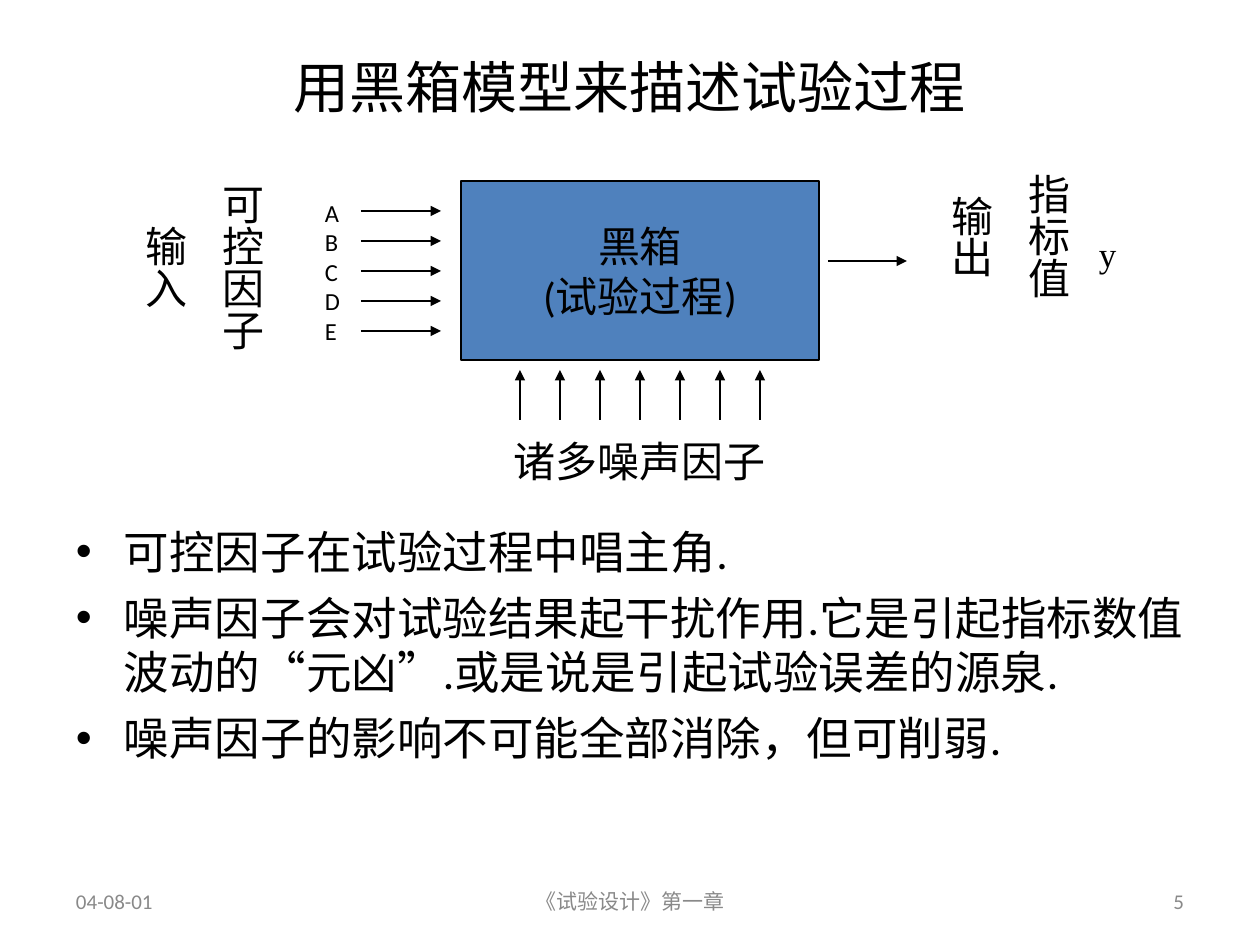
from lxml.etree import SubElement
from pptx import Presentation
from pptx.dml.color import RGBColor
from pptx.enum.shapes import MSO_CONNECTOR, MSO_SHAPE
from pptx.enum.text import MSO_ANCHOR, MSO_AUTO_SIZE, PP_ALIGN
from pptx.oxml.ns import qn
from pptx.util import Emu, Pt

BLACK = RGBColor(0x00, 0x00, 0x00)
GREY = RGBColor(0x89, 0x89, 0x89)
BLUE = RGBColor(0x4F, 0x81, 0xBD)
WIDTH, HEIGHT = 1260, 945


def px(length):
    return Emu(round(length * 914400 / 126))


class BlackBoxSlide:
    """Draws the elements of one slide in a shared style."""

    def __init__(self, presentation):
        self.slide = presentation.slides.add_slide(presentation.slide_layouts[5])
        self.line_width = Pt(0.75)
        self.insets = (13, 6, 13, 6)
        self.vertical_insets = (6, 13, 6, 13)

    def fill_text(self, shape, paragraphs, size, align=PP_ALIGN.LEFT, anchor=MSO_ANCHOR.TOP,
                  color=BLACK, font="Calibri", gap=0, bullet_indent=0, vertical=False):
        frame = shape.text_frame
        left, top, right, bottom = self.vertical_insets if vertical else self.insets
        frame_format = {
            "word_wrap": True, "auto_size": MSO_AUTO_SIZE.NONE, "vertical_anchor": anchor,
            "margin_left": px(left), "margin_top": px(top),
            "margin_right": px(right), "margin_bottom": px(bottom),
        }
        for name, value in frame_format.items():
            setattr(frame, name, value)
        if vertical:
            frame._txBody.bodyPr.set("vert", "eaVert")
        font_format = {"size": Pt(size), "name": font}
        for index, text in enumerate(paragraphs):
            paragraph = frame.add_paragraph() if index else frame.paragraphs[0]
            paragraph.text = text
            if bullet_indent:
                self.add_bullet(paragraph, bullet_indent)
            paragraph.alignment = align
            paragraph.space_before = Pt(gap if index else 0)
            for run in paragraph.runs:
                for name, value in font_format.items():
                    setattr(run.font, name, value)
                run.font.color.rgb = color

    def add_bullet(self, paragraph, indent):
        properties = paragraph._p.get_or_add_pPr()
        properties.set("marL", str(px(indent)))
        properties.set("indent", str(-px(indent)))
        SubElement(properties, qn("a:buFont"), typeface="Arial")
        SubElement(properties, qn("a:buChar"), char="•")

    def title(self, box, text, size):
        shape = self.slide.shapes.title
        for name, value in zip(("left", "top", "width", "height"), box):
            setattr(shape, name, px(value))
        self.fill_text(shape, [text], size, PP_ALIGN.CENTER, MSO_ANCHOR.MIDDLE)

    def text(self, box, paragraphs, size, **style):
        shape = self.slide.shapes.add_textbox(*map(px, box))
        self.fill_text(shape, paragraphs, size, **style)

    def rectangle(self, box, paragraphs, size):
        shape = self.slide.shapes.add_shape(MSO_SHAPE.RECTANGLE, *map(px, box))
        shape.shadow.inherit = False
        shape.fill.solid()
        shape.fill.fore_color.rgb = BLUE
        shape.line.color.rgb = BLACK
        shape.line.width = self.line_width
        self.fill_text(shape, paragraphs, size, PP_ALIGN.CENTER, MSO_ANCHOR.MIDDLE)

    def arrow(self, start, end):
        connector = self.slide.shapes.add_connector(
            MSO_CONNECTOR.STRAIGHT, *map(px, start + end))
        connector.line.color.rgb = BLACK
        connector.line.width = self.line_width
        SubElement(connector.line._get_or_add_ln(), qn("a:tailEnd"), type="triangle")
        SubElement(connector._element.spPr, qn("a:effectLst"))


def main():
    presentation = Presentation()
    presentation.slide_width = px(WIDTH)
    presentation.slide_height = px(HEIGHT)
    slide = BlackBoxSlide(presentation)

    slide.title((63, 38, 1134, 97), "用黑箱模型来描述试验过程", 32)

    slide.rectangle((461, 181, 358, 179), ["黑箱\n(试验过程)"], 24)
    for index in range(5):
        y = 211 + 30 * index
        slide.arrow((361, y), (441, y))
    slide.arrow((828, 261), (907, 261))
    for index in range(7):
        x = 520 + 40 * index
        slide.arrow((x, 420), (x, 370))

    for box, columns in (
        ((121, 171, 152, 208), ["可控因子", "输入"]),
        ((927, 161, 152, 198), ["指标值", "输出"]),
    ):
        slide.text(box, columns, 24, align=PP_ALIGN.CENTER, gap=15, vertical=True)
    slide.text((312, 192, 49, 160), ["A\nB\nC\nD\nE"], 14)
    slide.text((490, 430, 300, 63), ["诸多噪声因子"], 24, align=PP_ALIGN.CENTER)
    slide.text((1086, 226, 49, 55), ["y"], 20, font="Times New Roman")

    slide.text((63, 518, 1134, 292), [
        "可控因子在试验过程中唱主角.",
        "噪声因子会对试验结果起干扰作用.它是引起指标数值波动的“元凶”.或是说是引起试验误差的源泉.",
        "噪声因子的影响不可能全部消除，但可削弱.",
    ], 26, gap=6.5, bullet_indent=48)

    for left, width, text, align in (
        (63, 294, "04-08-01", PP_ALIGN.LEFT),
        (431, 399, "《试验设计》第一章", PP_ALIGN.CENTER),
        (903, 294, "5", PP_ALIGN.RIGHT),
    ):
        slide.text((left, 876, width, 50), [text], 12, align=align,
                   anchor=MSO_ANCHOR.MIDDLE, color=GREY)

    presentation.save("out.pptx")


if __name__ == "__main__":
    main()
